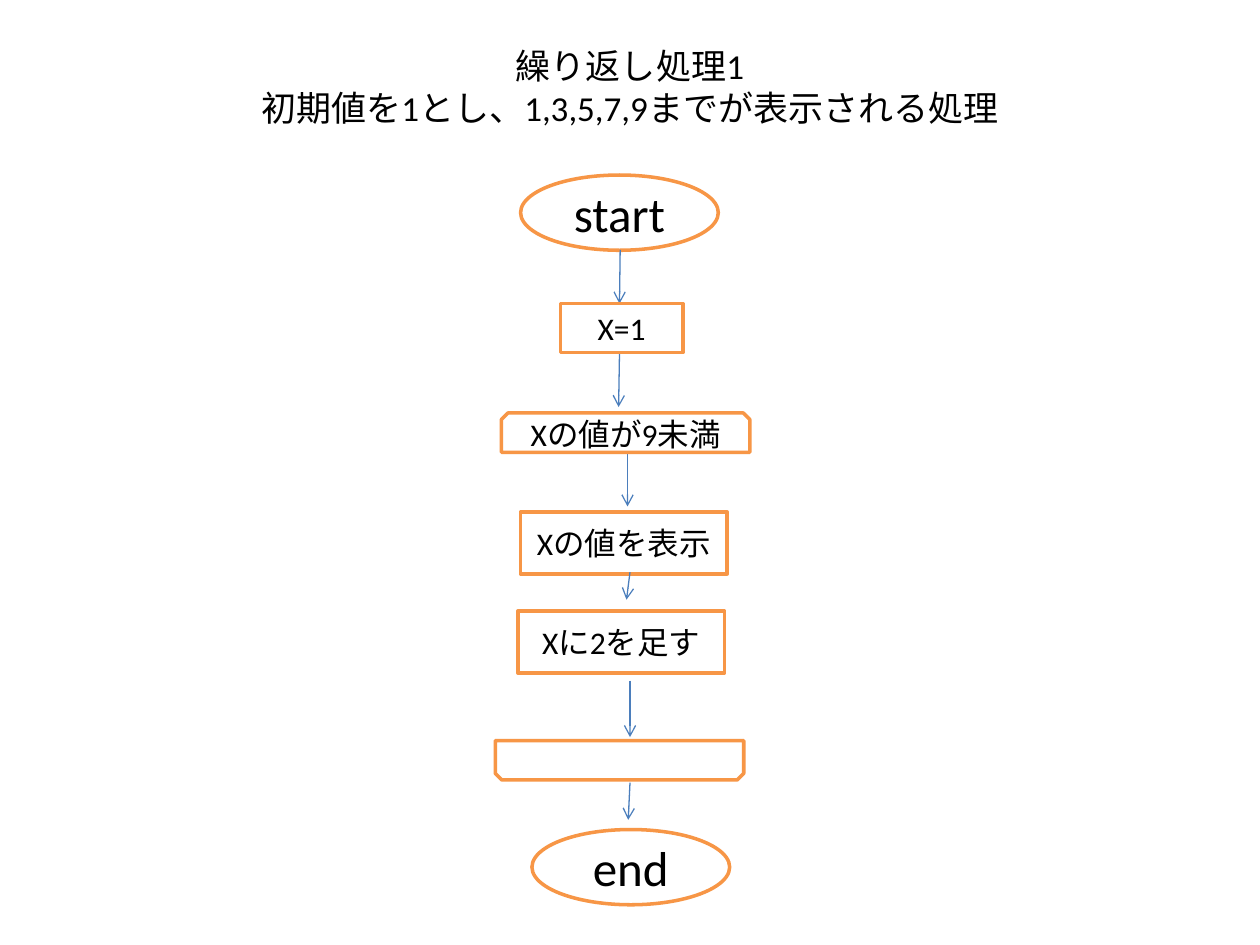
from dataclasses import dataclass

import lxml.etree
import pptx
import pptx.dml.color
import pptx.enum.shapes
import pptx.enum.text
import pptx.oxml.ns
import pptx.shapes.autoshape
import pptx.slide
import pptx.text.text
import pptx.util

Pt = pptx.util.Pt
Kind = pptx.enum.shapes.MSO_SHAPE
BLACK = pptx.dml.color.RGBColor(0x00, 0x00, 0x00)
WHITE = pptx.dml.color.RGBColor(0xFF, 0xFF, 0xFF)
ORANGE = pptx.dml.color.RGBColor(0xF7, 0x96, 0x46)
BLUE = pptx.dml.color.RGBColor(0x4B, 0x7E, 0xBC)

TERMINAL_SIZE = (113, 43)
ACTION_SIZE = (118, 35.5)
LOOP_SIZE = (142, 22.5)


@dataclass(frozen=True)
class Step:
    label: str
    kind: Kind
    left: float
    top: float
    size: tuple[float, float]
    font_size: float = 18
    rotation: float = 0


@dataclass(frozen=True)
class Flow:
    start: tuple[float, float]
    end: tuple[float, float]


TERMINALS = [
    Step("start", Kind.OVAL, 297.5, 100, TERMINAL_SIZE, font_size=28),
    Step("end", Kind.OVAL, 304, 474, TERMINAL_SIZE, font_size=28),
]
ACTIONS = [
    Step("X=1", Kind.RECTANGLE, 320.2, 173.5, (70, 28)),
    Step("Xの値が9未満", Kind.SNIP_2_SAME_RECTANGLE, 286.5, 236, LOOP_SIZE),
    Step("Xの値を表示", Kind.RECTANGLE, 297.5, 292.5, ACTION_SIZE),
    Step("Xに2を足す", Kind.RECTANGLE, 296, 349.2, ACTION_SIZE),
    Step("", Kind.SNIP_2_SAME_RECTANGLE, 283, 423.2, LOOP_SIZE, rotation=180),
]
FLOWS = [
    Flow((354.4, 142.8), (354, 173.5)),
    Flow((354, 202.3), (353.5, 232.6)),
    Flow((358.6, 258.8), (358.6, 289.4)),
    Flow((360, 389), (360, 421.2)),
    Flow((360, 447.2), (359, 468.5)),
]
DISPLAY_TO_ADD = Flow((360, 327), (358, 342.7))


def write_centred(frame: pptx.text.text.TextFrame, wording: str, size: float, wrap: bool) -> None:
    frame.word_wrap = wrap
    frame.vertical_anchor = pptx.enum.text.MSO_ANCHOR.MIDDLE
    paragraph = frame.paragraphs[0]
    paragraph.text = wording
    paragraph.alignment = pptx.enum.text.PP_ALIGN.CENTER
    font_format = {"name": "Calibri", "size": Pt(size)}
    for run in paragraph.runs:
        for attribute, value in font_format.items():
            setattr(run.font, attribute, value)
        run.font.color.rgb = BLACK


def draw_step(slide: pptx.slide.Slide, step: Step) -> None:
    box = slide.shapes.add_shape(
        step.kind, Pt(step.left), Pt(step.top), *map(Pt, step.size)
    )
    box.rotation = step.rotation
    box.shadow.inherit = False
    box.fill.solid()
    box.fill.fore_color.rgb = WHITE
    box.line.color.rgb = ORANGE
    box.line.width = Pt(2)
    if step.label:
        write_centred(box.text_frame, step.label, step.font_size, wrap=False)


def draw_flow(slide: pptx.slide.Slide, flow: Flow) -> None:
    arrow = slide.shapes.add_connector(
        pptx.enum.shapes.MSO_CONNECTOR.STRAIGHT,
        *map(Pt, flow.start + flow.end),
    )
    arrow.line.color.rgb = BLUE
    arrow.line.width = Pt(0.75)
    qn = pptx.oxml.ns.qn
    properties = arrow._element.spPr
    outline = properties.find(qn("a:ln"))
    lxml.etree.SubElement(outline, qn("a:tailEnd"), type="arrow")
    lxml.etree.SubElement(properties, qn("a:effectLst"))


def main() -> None:
    deck = pptx.Presentation()
    deck.slide_width, deck.slide_height = Pt(720), Pt(540)
    slide = deck.slides.add_slide(deck.slide_layouts[6])
    heading = slide.shapes.add_textbox(Pt(36), Pt(21.6), Pt(648), Pt(55.4))
    write_centred(
        heading.text_frame,
        "繰り返し処理1\v初期値を1とし、1,3,5,7,9までが表示される処理",
        20,
        wrap=True,
    )
    for terminal in TERMINALS:
        draw_step(slide, terminal)
    for flow in FLOWS:
        draw_flow(slide, flow)
    for action in ACTIONS:
        draw_step(slide, action)
    draw_flow(slide, DISPLAY_TO_ADD)
    deck.save("out.pptx")


if __name__ == "__main__":
    main()
